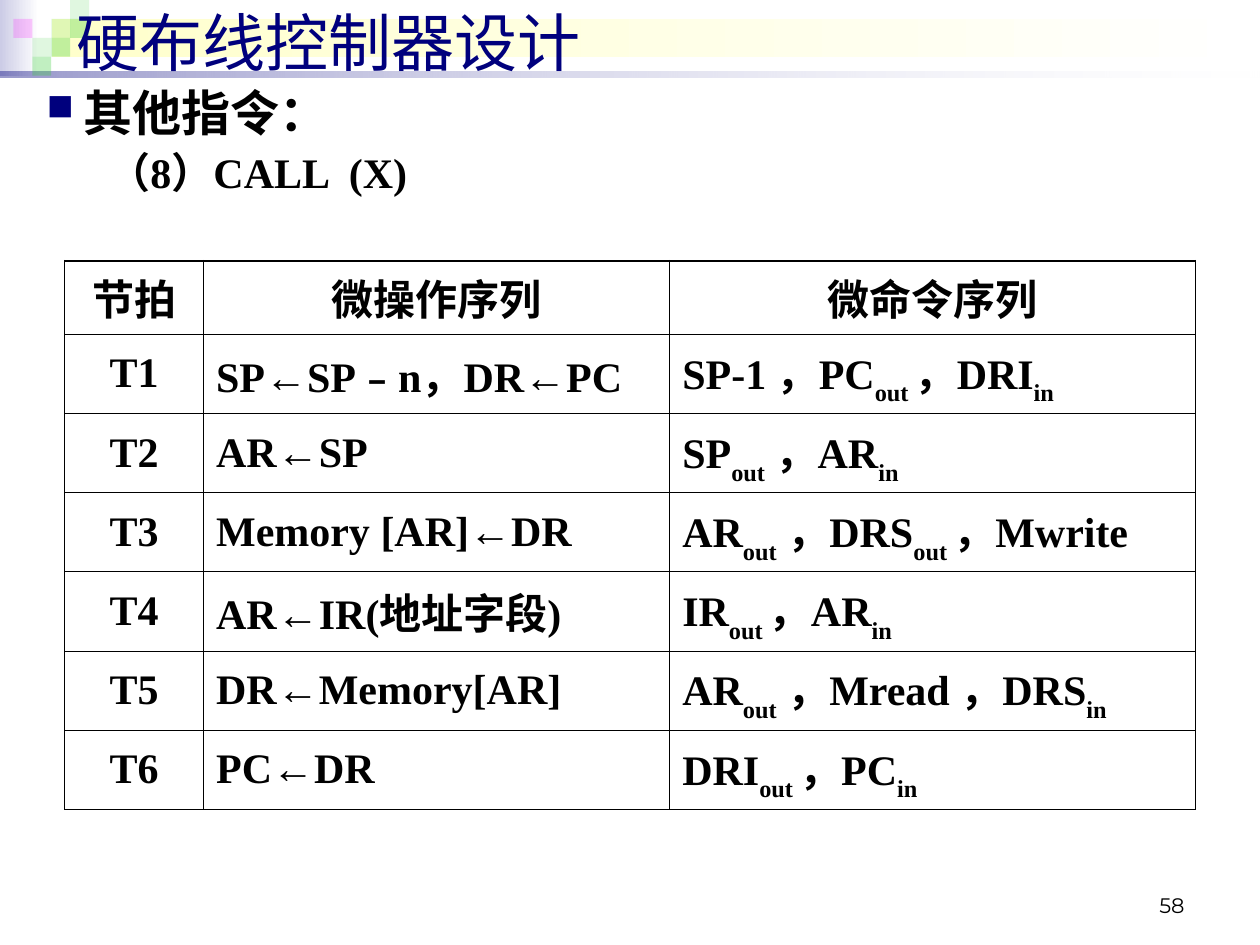
"""Build the slide on hardwired controller design for the CALL (X) instruction."""
import lxml.etree
import pptx
import pptx.dml.color
import pptx.enum.shapes
import pptx.enum.text
import pptx.oxml.ns
import pptx.util

Pt = pptx.util.Pt
RGB = pptx.dml.color.RGBColor.from_string
qn = pptx.oxml.ns.qn
ALIGN = pptx.enum.text.PP_ALIGN
ANCHOR = pptx.enum.text.MSO_ANCHOR

THEME = {
    "navy": "00007D", "black": "000000", "white": "FFFFFF",
    "lavender": "CCCCE6", "cream": "FFFFCC", "green": "33CC33", "pink": "FF00FF",
    "title": 36, "heading": 28, "body": 24, "number": 12,
    "serif": "Times New Roman", "sans": "Arial", "number_font": "Montserrat",
    "top_line": 1.08, "column_line": 0.45, "row_line": 0.34,
}


def add_block(page, left, top, width, height):
    block = page.shapes.add_shape(
        pptx.enum.shapes.MSO_SHAPE.RECTANGLE, Pt(left), Pt(top), Pt(width), Pt(height))
    block.shadow.inherit = False
    block.line.fill.background()
    return block


def write(para, text, size="body", font="serif", colour="black", bold=True):
    """Write text into a paragraph; every second piece between underscores is a subscript."""
    for index, piece in enumerate(text.split("_")):
        if not piece:
            continue
        span = para.add_run()
        span.text = piece
        span.font.size = Pt(THEME[size])
        span.font.name = THEME[font]
        span.font.bold = bold
        span.font.color.rgb = RGB(THEME[colour])
        if index % 2:
            span._r.get_or_add_rPr().set("baseline", "-30000")


deck = pptx.Presentation()
deck.slide_width, deck.slide_height = Pt(720), Pt(540)
page = deck.slides.add_slide(deck.slide_layouts[6])

bands = [
    ((0, 0, 22.3, 43.2), "lavender", (100, 100)),
    ((29.5, 10.8, 687.6, 21.6), "cream", (100, 100)),
    ((0, 41, 720, 3.6), "navy", (10, 40)),
]
tiles = [
    (2, 1, "green", 15), (3, 0, "green", 15), (3, 1, "green", 30), (1, 2, "green", 15),
    (0, 1, "pink", 20), (2, 2, "green", 30), (1, 3, "green", 30),
]
for place, colour, opacities in bands:
    band = add_block(page, *place)
    band.fill.gradient()
    band.fill.gradient_angle = 180
    for stop, name, opacity in zip(band.fill.gradient_stops, ("white", colour), opacities):
        stop.color.rgb = RGB(THEME[name])
        if opacity < 100:
            tint = stop._gs.find(qn("a:srgbClr"))
            lxml.etree.SubElement(tint, qn("a:alpha")).set("val", str(opacity * 1000))

for column, row, colour, opacity in tiles:
    tile = add_block(page, 7.7 + 10.8 * column, 10.8 * row, 10.8, 10.8)
    tile.fill.solid()
    tile.fill.fore_color.rgb = RGB(THEME[colour])
    tint = tile._element.spPr.find(qn("a:solidFill")).find(qn("a:srgbClr"))
    lxml.etree.SubElement(tint, qn("a:alpha")).set("val", str(opacity * 1000))

frames = []
for place, anchor in [
    ((36.7, -2.2, 674.6, 51.1), ANCHOR.MIDDLE),
    ((19.6, 43.8, 691.9, 73.4), ANCHOR.TOP),
    ((516.2, 491.8, 167.8, 36), ANCHOR.BOTTOM),
]:
    box = page.shapes.add_textbox(*(Pt(length) for length in place))
    box.text_frame.word_wrap = True
    box.text_frame.vertical_anchor = anchor
    frames.append(box.text_frame)
title, body, number = frames

write(title.paragraphs[0], "硬布线控制器设计", "title", "sans", "navy", False)

heading = body.paragraphs[0]
properties = heading._p.get_or_add_pPr()
properties.set("marL", str(Pt(21.2)))
properties.set("indent", str(Pt(-21.2)))
bullet_colour = lxml.etree.SubElement(properties, qn("a:buClr"))
lxml.etree.SubElement(bullet_colour, qn("a:srgbClr")).set("val", THEME["navy"])
lxml.etree.SubElement(properties, qn("a:buSzPct")).set("val", "75000")
bullet_font = lxml.etree.SubElement(properties, qn("a:buFont"))
bullet_font.set("typeface", "Wingdings")
bullet_font.set("charset", "2")
lxml.etree.SubElement(properties, qn("a:buChar")).set("char", "n")
write(heading, "其他指令：", "heading")

instruction = body.add_paragraph()
instruction.level = 1
properties = instruction._p.get_or_add_pPr()
properties.set("marL", str(Pt(64.1)))
properties.set("indent", str(Pt(-28.8)))
lxml.etree.SubElement(properties, qn("a:buNone"))
instruction.space_before = Pt(3)
write(instruction, "（8）CALL  (X)")

number.paragraphs[0].alignment = ALIGN.RIGHT
write(number.paragraphs[0], "58", "number", "number_font", bold=False)

rows = [
    ("节拍", "微操作序列", "微命令序列"),
    ("T1", "SP←SP﹣n，DR←PC", "SP-1 ，PC_out _，DRI_in"),
    ("T2", "AR←SP", "SP_out_ ，AR_in"),
    ("T3", "Memory [AR]←DR", "AR_out_ ，DRS_out _，Mwrite"),
    ("T4", "AR←IR(地址字段)", "IR_out _，AR_in"),
    ("T5", "DR←Memory[AR]", "AR_out_ ，Mread ，DRS_in"),
    ("T6", "PC←DR", "DRI_out _，PC_in"),
]
widths = [79.4, 266.4, 300.5]
heights = [42] + [45.25] * 6
table = page.shapes.add_table(
    len(rows), len(widths), Pt(36.9), Pt(149), Pt(sum(widths)), Pt(sum(heights))).table
table.first_row = table.horz_banding = False
for column, width in zip(table.columns, widths):
    column.width = Pt(width)
for row, height in zip(table.rows, heights):
    row.height = Pt(height)

for row_index, texts in enumerate(rows):
    for column_index, text in enumerate(texts):
        cell = table.cell(row_index, column_index)
        cell.vertical_anchor = ANCHOR.MIDDLE
        cell.margin_left = cell.margin_right = Pt(7.2)
        cell.margin_top = cell.margin_bottom = Pt(3.6)
        top_line = "row_line" if row_index else "top_line"
        for side, line in zip("LRTB", ("column_line", "column_line", top_line, "row_line")):
            border = lxml.etree.SubElement(cell._tc.get_or_add_tcPr(), qn(f"a:ln{side}"))
            border.set("w", str(Pt(THEME[line])))
            fill = lxml.etree.SubElement(border, qn("a:solidFill"))
            lxml.etree.SubElement(fill, qn("a:srgbClr")).set("val", THEME["black"])
        cell.fill.background()
        para = cell.text_frame.paragraphs[0]
        centred = row_index == 0 or column_index == 0
        para.alignment = ALIGN.CENTER if centred else ALIGN.LEFT
        write(para, text)

deck.save("out.pptx")
